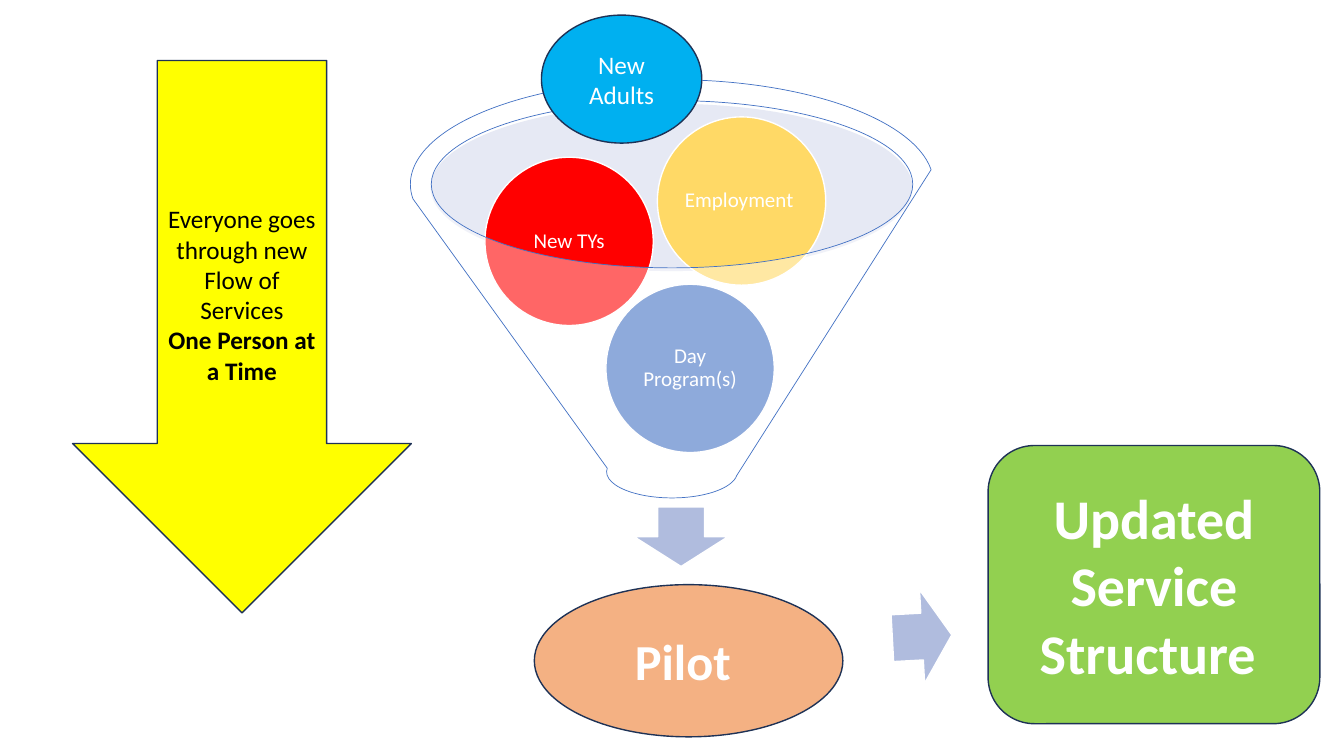
import pptx
import pptx.dml.color
import pptx.enum.shapes
import pptx.enum.text
import pptx.oxml.ns
import pptx.util
from dataclasses import dataclass
from lxml import etree

Inches = pptx.util.Inches
Pt = pptx.util.Pt
SHAPE = pptx.enum.shapes.MSO_SHAPE


@dataclass(frozen=True)
class Theme:
    font: str = "Calibri"
    white: str = "FFFFFF"
    black: str = "000000"
    outline: str = "1E3256"
    blue: str = "4472C4"
    rim: str = "C1C9E4"
    flow: str = "B0BCDE"
    red: str = "FF0000"
    gold: str = "FFD966"
    sky: str = "00B0F0"
    yellow: str = "FFFF00"
    green: str = "92D050"
    orange: str = "F4B183"
    circle_size: float = 15
    body_size: float = 18
    pilot_size: float = 36
    result_size: float = 40


theme = Theme()
deck = pptx.Presentation()
deck.slide_width, deck.slide_height = Inches(13.33), Inches(7.5)
page = deck.slides.add_slide(deck.slide_layouts[6])


def add_figure(kind, place, fill, line=None, weight=1, opacity=None):
    """Add a filled shape; opacity is a percentage."""
    figure = page.shapes.add_shape(kind, *map(Inches, place))
    figure.shadow.inherit = False
    figure.fill.solid()
    figure.fill.fore_color.rgb = pptx.dml.color.RGBColor.from_string(fill)
    if opacity is not None:
        color = figure.fill._xPr.find(".//" + pptx.oxml.ns.qn("a:srgbClr"))
        alpha = etree.SubElement(color, pptx.oxml.ns.qn("a:alpha"))
        alpha.set("val", str(opacity * 1000))
    if line is None:
        figure.line.fill.background()
    else:
        figure.line.color.rgb = pptx.dml.color.RGBColor.from_string(line)
        figure.line.width = Pt(weight)
    return figure


def write(figure, paragraphs, size, color=theme.white, spacing=1.0):
    """Fill a shape with centred paragraphs given as (text, bold) pairs."""
    frame = figure.text_frame
    frame.word_wrap = True
    frame.vertical_anchor = pptx.enum.text.MSO_ANCHOR.MIDDLE
    for index, (text, bold) in enumerate(paragraphs):
        para = frame.add_paragraph() if index else frame.paragraphs[0]
        para.alignment = pptx.enum.text.PP_ALIGN.CENTER
        para.line_spacing = spacing
        span = para.add_run()
        span.text = text
        span.font.name = theme.font
        span.font.size = Pt(size)
        span.font.bold = bold
        span.font.color.rgb = pptx.dml.color.RGBColor.from_string(color)


# Funnel with the groups inside it
add_figure(SHAPE.OVAL, (4.27, 1.03, 4.78, 1.66), theme.rim, opacity=40)
add_figure(SHAPE.DOWN_ARROW, (6.29, 5.03, 0.93, 0.59), theme.flow, theme.white)

diameter = 1.67
for label, left, top, fill in (
    ("Day Program(s)", 6.01, 2.82, theme.blue),
    ("New TYs", 4.81, 1.56, theme.red),
    ("Employment ", 6.52, 1.16, theme.gold),
):
    circle = add_figure(SHAPE.OVAL, (left, top, diameter, diameter), fill, theme.white)
    frame = circle.text_frame
    frame.margin_left = frame.margin_right = Inches(0.02)
    frame.margin_top = frame.margin_bottom = Inches(0.02)
    write(circle, [(label, False)], theme.circle_size, spacing=0.9)

add_figure(SHAPE.FUNNEL, (4.07, 0.79, 5.19, 4.15), theme.white, theme.blue, 0.5, 40)

# Steps around the funnel
new_adults = add_figure(SHAPE.OVAL, (5.37, 0.15, 1.59, 1.27), theme.sky, theme.outline)
write(new_adults, [("New Adults", False)], theme.body_size)

everyone = add_figure(SHAPE.DOWN_ARROW, (0.72, 0.6, 3.36, 5.48), theme.yellow, theme.outline)
write(
    everyone,
    [("Everyone goes through new Flow of Services", False), ("One Person at a Time", True)],
    theme.body_size,
    theme.black,
)

result = add_figure(SHAPE.ROUNDED_RECTANGLE, (9.8, 4.42, 3.29, 2.76), theme.green, theme.outline)
write(result, [("Updated Service Structure ", True)], theme.result_size)

pilot = add_figure(SHAPE.OVAL, (5.3, 5.8, 3.06, 1.51), theme.orange, theme.outline)
write(pilot, [("Pilot ", True)], theme.pilot_size)

to_result = add_figure(SHAPE.DOWN_ARROW, (8.68, 6.02, 0.93, 0.59), theme.flow, theme.white)
to_result.rotation = 266.9

deck.save("out.pptx")
